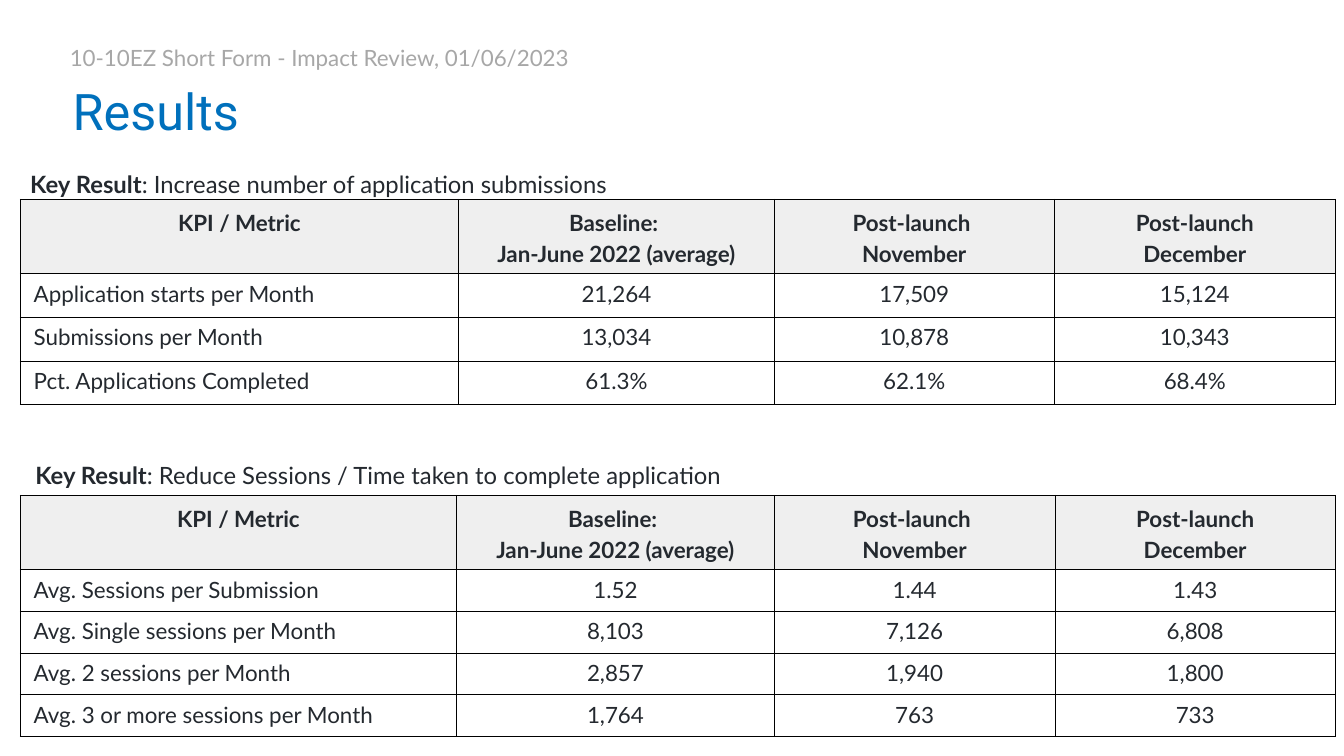
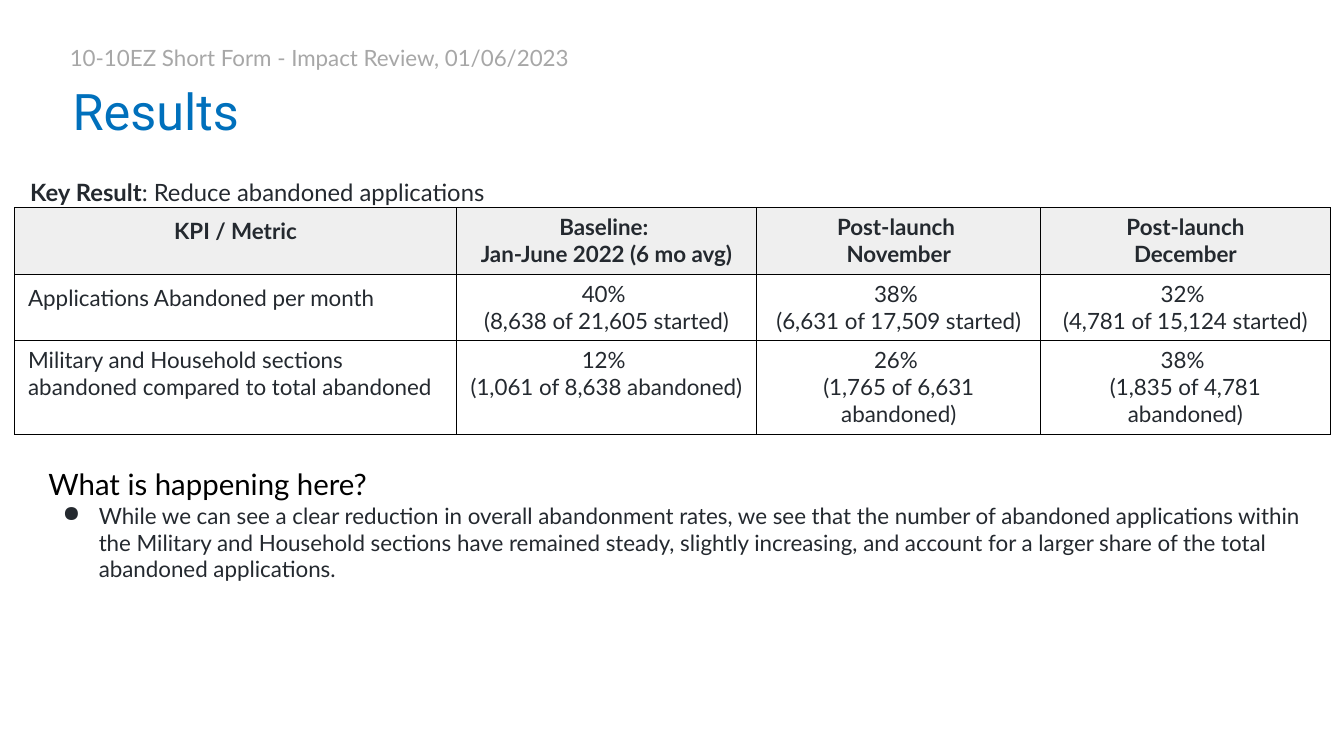
from lxml.etree import SubElement
from pptx import Presentation
from pptx.dml.color import RGBColor
from pptx.enum.text import MSO_ANCHOR, PP_ALIGN
from pptx.oxml.ns import qn
from pptx.util import Cm, Pt

BLUE, GREY, INK, BLACK = "0070BC", "A7A7A7", "24292F", "000000"
HEAD, WHITE = "EFEFEF", "FFFFFF"
BODY = "Lato"


def paint(target, color):
    """Give a font or a fill one solid colour."""
    if hasattr(target, "solid"):
        target.solid()
        target.fore_color.rgb = RGBColor.from_string(color)
    else:
        target.color.rgb = RGBColor.from_string(color)


def style(para, size, color, face=BODY, bold=False, space=1.0):
    para.font.size = Pt(size)
    para.font.name = face
    para.font.bold = bold
    paint(para.font, color)
    para.line_spacing = space


def frame(slide, box, inset, anchor=MSO_ANCHOR.TOP):
    """Add a wrapped text box and return its text frame."""
    text = slide.shapes.add_textbox(*map(Cm, box)).text_frame
    text.word_wrap = True
    text.vertical_anchor = anchor
    text.margin_left = text.margin_right = Cm(inset)
    text.margin_top = text.margin_bottom = Cm(inset)
    return text


def start(deck):
    """Add a slide with the shared kicker and title."""
    slide = deck.slides.add_slide(deck.slide_layouts[6])
    title = frame(slide, (1.7, 1.9, 27.94, 1.68), 0.13).paragraphs[0]
    title.text = "Results"
    style(title, 36, BLUE, "Roboto")
    kicker = frame(slide, (1.63, 0.89, 19, 0.99), 0.13, MSO_ANCHOR.MIDDLE).paragraphs[0]
    kicker.text = "10-10EZ Short Form - Impact Review, 01/06/2023"
    style(kicker, 16, GREY, space=1.2)
    return slide


def result(slide, box, goal):
    """State a key result above its table."""
    para = frame(slide, box, 0.25, MSO_ANCHOR.MIDDLE).paragraphs[0]
    style(para, 17, INK, space=1.15)
    para.space_after = Pt(12)
    para.add_run().text = "Key Result"
    para.runs[0].font.bold = True
    para.add_run().text = f": {goal}"


def border(cell):
    props = cell._tc.get_or_add_tcPr()
    for side in ("lnL", "lnR", "lnT", "lnB"):
        line = SubElement(props, qn(f"a:{side}"), w=str(Pt(0.75)))
        fill = SubElement(line, qn("a:solidFill"))
        SubElement(fill, qn("a:srgbClr"), val=BLACK)


def fill_cell(cell, text, head, first, space):
    border(cell)
    paint(cell.fill, HEAD if head else WHITE)
    cell.margin_left = cell.margin_right = Cm(0.34)
    cell.margin_top = cell.margin_bottom = Cm(0.16)
    cell.text = text
    for para in cell.text_frame.paragraphs:
        style(para, 16, INK, bold=head, space=space)
        para.alignment = PP_ALIGN.LEFT if first and not head else PP_ALIGN.CENTER


def metrics(slide, left, top, widths, heights, rows, loose):
    """Draw a metric table; loose holds the (row, column) cells with wider leading."""
    table = slide.shapes.add_table(
        len(rows), len(widths), Cm(left), Cm(top), Cm(sum(widths)), Cm(sum(heights))
    ).table
    for col, width in zip(table.columns, widths):
        col.width = Cm(width)
    for r, (height, row) in enumerate(zip(heights, rows)):
        table.rows[r].height = Cm(height)
        for c, text in enumerate(row):
            space = 1.15 if (r, c) in loose else 1.0
            fill_cell(table.cell(r, c), text, r == 0, c == 0, space)


def remark(slide, box, title, point):
    """Write a heading with one bullet below it."""
    text = frame(slide, box, 0.25)
    head, item = text.paragraphs[0], text.add_paragraph()
    head.text, item.text = title, point
    style(head, 21, BLACK, space=1.2)
    head.space_before = Pt(10)
    style(item, 16, INK)
    props = item._p.get_or_add_pPr()
    props.set("marL", str(Cm(1.27)))
    props.set("indent", str(Cm(-0.91)))
    bullet = props.makeelement(qn("a:buChar"), {"char": "●"})
    props.find(qn("a:defRPr")).addprevious(bullet)


def header(span):
    return (
        "KPI / Metric",
        f"Baseline: \nJan-June 2022 ({span})",
        "Post-launch \nNovember",
        "Post-launch\nDecember",
    )


STARTS = [
    header("average"),
    ("Application starts per Month", "21,264", "17,509", "15,124"),
    ("Submissions per Month", "13,034", "10,878", "10,343"),
    ("Pct. Applications Completed", "61.3%", "62.1%", "68.4%"),
]
VISITS = [
    header("average"),
    ("Avg. Sessions per Submission", "1.52", "1.44", "1.43"),
    ("Avg. Single sessions per Month", "8,103", "7,126", "6,808"),
    ("Avg. 2 sessions per Month", "2,857", "1,940", "1,800"),
    ("Avg. 3 or more sessions per Month", "1,764", "763", "733"),
]
DROPS = [
    header("6 mo avg"),
    (
        "Applications Abandoned per month",
        "40% \n(8,638 of 21,605 started)",
        "38% \n(6,631 of 17,509 started)",
        "32% \n(4,781 of 15,124 started)",
    ),
    (
        "Military and Household sections abandoned compared to total abandoned",
        "12% \n(1,061 of 8,638 abandoned)",
        "26% \n(1,765 of 6,631 abandoned)",
        "38% \n(1,835 of 4,781 abandoned)",
    ),
]


def growth(deck):
    slide = start(deck)
    top_row = {(0, c) for c in range(4)}
    metrics(slide, 0.51, 5.02, (11.05, 7.95, 7.06, 7.08),
            [1.88] + [1.1] * 3, STARTS, top_row)
    result(slide, (0.51, 3.94, 29.16, 1.3),
           "Increase number of application submissions")
    metrics(slide, 0.51, 12.48, (11, 8, 7.08, 7.06),
            [1.88] + [1.05] * 4, VISITS, top_row)
    result(slide, (0.64, 11.33, 33.05, 1.17),
           "Reduce Sessions / Time taken to complete application")


def losses(deck):
    slide = start(deck)
    result(slide, (0.51, 4.14, 29.16, 1.3), "Reduce abandoned applications")
    metrics(slide, 0.37, 5.23, (11.13, 7.57, 7.16, 7.29),
            (1.66, 1.66, 2.36), DROPS, {(0, 0), (1, 0)})
    remark(
        slide, (0.97, 11.33, 32.18, 3.63), "What is happening here?",
        "While we can see a clear reduction in overall abandonment rates, we see "
        "that the number of abandoned applications within the Military and "
        "Household sections have remained steady, slightly increasing, and account "
        "for a larger share of the total abandoned applications.",
    )


def main():
    deck = Presentation()
    deck.slide_width, deck.slide_height = Cm(33.87), Cm(19.05)
    growth(deck)
    losses(deck)
    deck.save("out.pptx")


if __name__ == "__main__":
    main()
